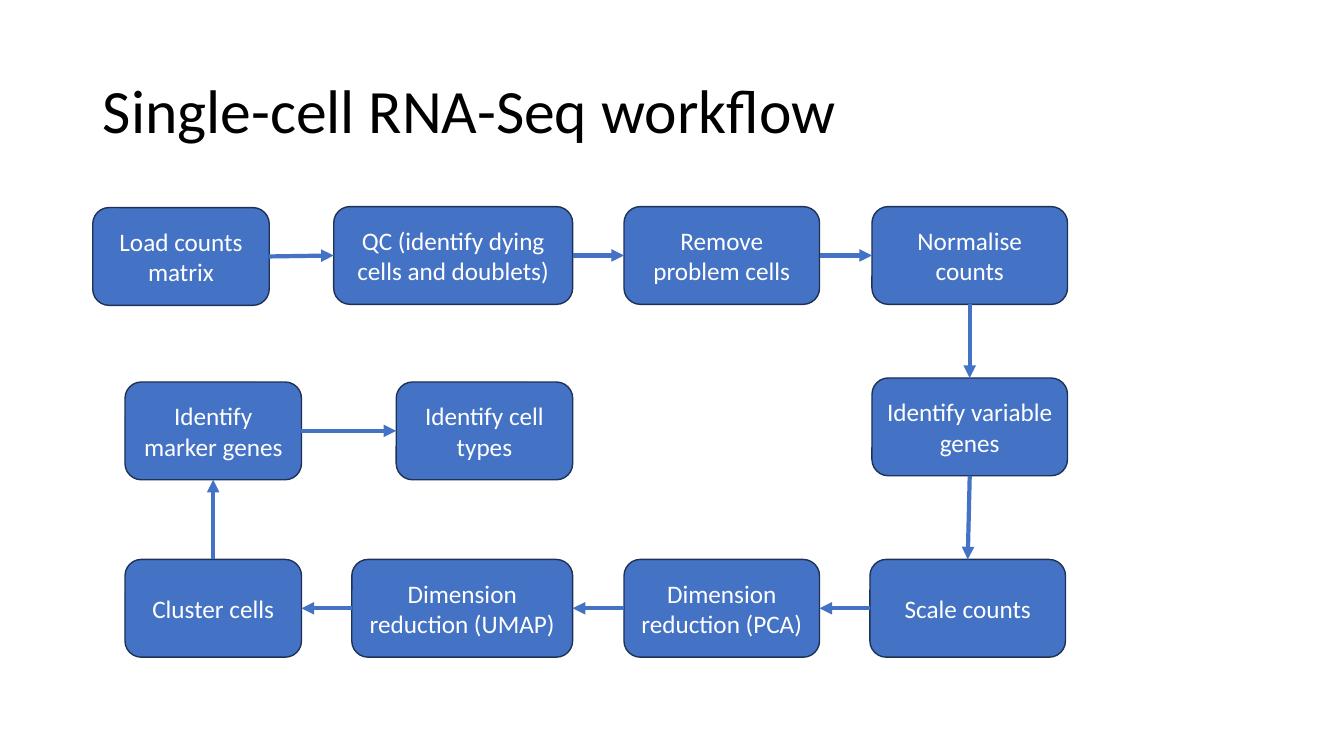
import itertools

import pptx
import pptx.dml.color
import pptx.enum.shapes
import pptx.enum.text
import pptx.oxml
import pptx.oxml.ns
import pptx.util

WHITE = pptx.dml.color.RGBColor(0xFF, 0xFF, 0xFF)
BLACK = pptx.dml.color.RGBColor(0x00, 0x00, 0x00)
BLUE = pptx.dml.color.RGBColor(0x44, 0x72, 0xC4)
NAVY = pptx.dml.color.RGBColor(0x1E, 0x32, 0x56)

SLIDE_WIDTH = pptx.util.Inches(13.333)
SLIDE_HEIGHT = pptx.util.Inches(7.5)
COLUMN = SLIDE_WIDTH / 100
ROW = SLIDE_HEIGHT / 100

TITLE_BOX = (6.9, 5.33, 86.25, 19.33)
WORKFLOW_ORIGIN = (6.9, 27.33)
STEP_HEIGHT = 12.93
NARROW, MEDIUM, WIDE, WIDEST = 13.13, 14.55, 16.43, 17.78
FIRST_ROW, VARIABLE_ROW, MARKER_ROW, LAST_ROW = 0, 22.67, 23.2, 46.67

TITLE_FORMAT = {"name": "Calibri", "size": pptx.util.Pt(44)}
STEP_FORMAT = {"name": "Calibri", "size": pptx.util.Pt(18)}
SIDES = {"right": (3, 1), "down": (2, 0), "left": (1, 3), "up": (0, 2)}

STEPS = [
    ("Load counts matrix", 0, FIRST_ROW + 0.13, NARROW, "right"),
    ("QC (identify dying cells and doublets)", 17.93, FIRST_ROW, WIDEST, "right"),
    ("Remove problem cells", 39.53, FIRST_ROW, MEDIUM, "right"),
    ("Normalise counts", 57.98, FIRST_ROW, MEDIUM, "down"),
    ("Identify variable genes", 57.98, VARIABLE_ROW, MEDIUM, "down"),
    ("Scale counts", 57.83, LAST_ROW, MEDIUM, "left"),
    ("Dimension reduction (PCA)", 39.53, LAST_ROW, MEDIUM, "left"),
    ("Dimension reduction (UMAP)", 19.28, LAST_ROW, WIDE, "left"),
    ("Cluster cells", 2.4, LAST_ROW, NARROW, "up"),
    ("Identify marker genes", 2.4, MARKER_ROW, NARROW, "right"),
    ("Identify cell types", 22.58, MARKER_ROW, NARROW, None),
]


def to_lengths(left, top, width, height):
    """Turn grid columns and rows into slide lengths."""
    return [round(value * unit) for value, unit in
            zip((left, top, width, height), (COLUMN, ROW, COLUMN, ROW))]


def write_text(shape, text, font_format, color, alignment):
    """Put one formatted, vertically centred paragraph in a shape."""
    frame = shape.text_frame
    frame.text = text
    frame.word_wrap = True
    frame.auto_size = pptx.enum.text.MSO_AUTO_SIZE.NONE
    frame.vertical_anchor = pptx.enum.text.MSO_ANCHOR.MIDDLE
    paragraph = frame.paragraphs[0]
    paragraph.alignment = alignment
    font = paragraph.runs[0].font
    for name, value in font_format.items():
        setattr(font, name, value)
    font.color.rgb = color
    return paragraph


def place_title(slide, box):
    """Move the title placeholder into the box and fill it."""
    title = slide.shapes.title
    title.left, title.top, title.width, title.height = to_lengths(*box)
    paragraph = write_text(title, "Single-cell RNA-Seq workflow", TITLE_FORMAT,
                           BLACK, pptx.enum.text.PP_ALIGN.LEFT)
    paragraph.line_spacing = 0.9


def add_step(slide, text, box):
    """Draw one rounded workflow step."""
    step = slide.shapes.add_shape(
        pptx.enum.shapes.MSO_SHAPE.ROUNDED_RECTANGLE, *to_lengths(*box))
    step.shadow.inherit = False
    step.fill.solid()
    step.fill.fore_color.rgb = BLUE
    step.line.color.rgb = NAVY
    step.line.width = pptx.util.Pt(1)
    write_text(step, text, STEP_FORMAT, WHITE, pptx.enum.text.PP_ALIGN.CENTER)
    return step


def add_arrow(slide, start, end, direction):
    """Join two steps with an arrow in the given direction."""
    arrow = slide.shapes.add_connector(
        pptx.enum.shapes.MSO_CONNECTOR.STRAIGHT, 0, 0, 0, 0)
    start_side, end_side = SIDES[direction]
    arrow.begin_connect(start, start_side)
    arrow.end_connect(end, end_side)
    arrow.line.color.rgb = BLUE
    arrow.line.width = pptx.util.Pt(3)
    line = arrow.line._get_or_add_ln()
    head = pptx.oxml.xmlchemy.OxmlElement("a:tailEnd")
    head.set("type", "triangle")
    line.append(head)
    properties = arrow._element.spPr
    properties.append(pptx.oxml.xmlchemy.OxmlElement("a:effectLst"))


def place_workflow(slide, origin):
    """Draw the steps from the origin and link each to the next."""
    left, top = origin
    steps = [
        add_step(slide, text, (left + column, top + row, width, STEP_HEIGHT))
        for text, column, row, width, direction in STEPS
    ]
    directions = [step[-1] for step in STEPS]
    for (start, end), direction in zip(itertools.pairwise(steps), directions):
        add_arrow(slide, start, end, direction)


def main():
    """Build and save the workflow slide."""
    presentation = pptx.Presentation()
    presentation.slide_width = SLIDE_WIDTH
    presentation.slide_height = SLIDE_HEIGHT
    slide = presentation.slides.add_slide(presentation.slide_layouts[5])
    place_title(slide, TITLE_BOX)
    place_workflow(slide, WORKFLOW_ORIGIN)
    presentation.save("out.pptx")


if __name__ == "__main__":
    main()
